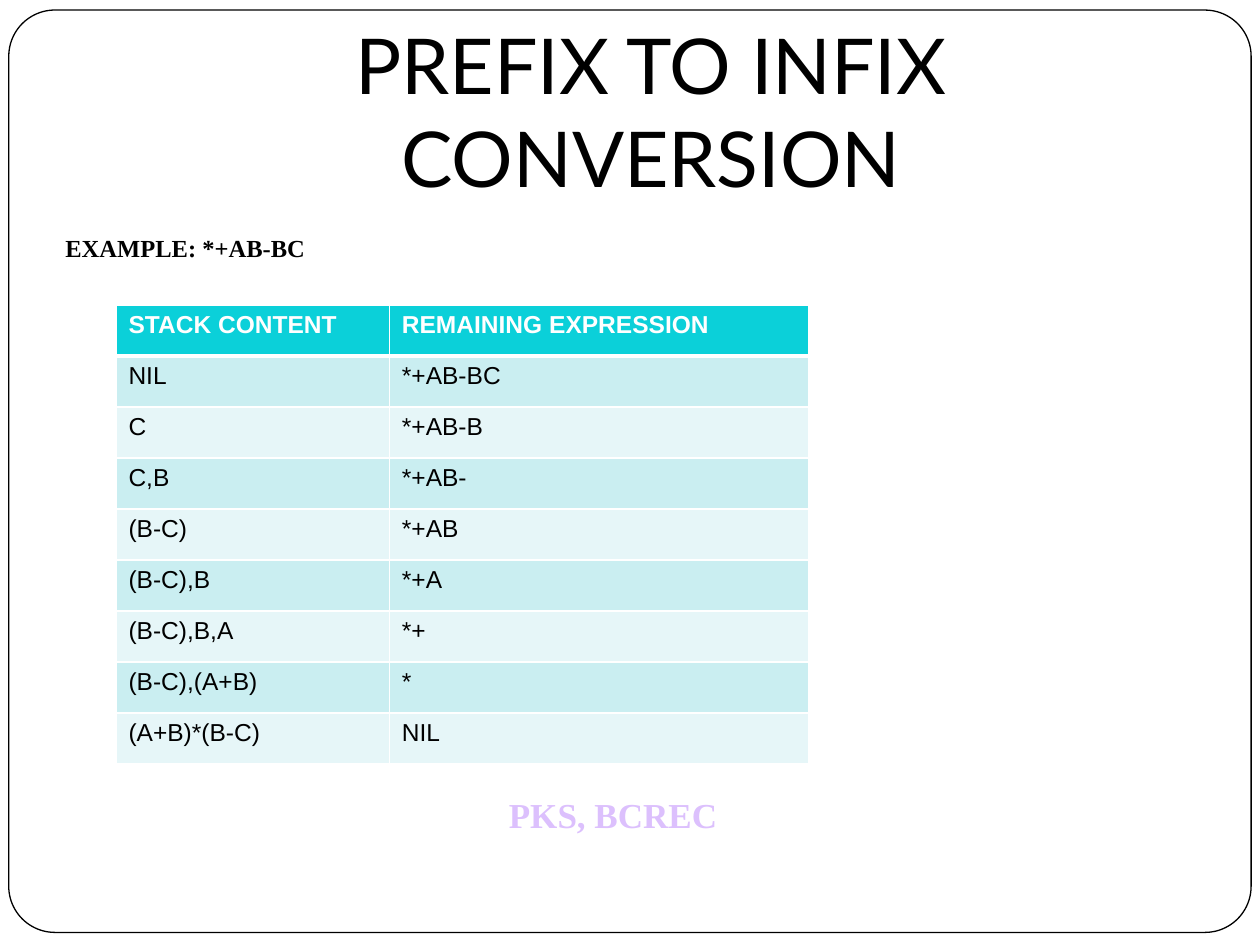
"""Build the prefix to infix conversion slide."""
import pptx
import pptx.dml.color
import pptx.enum.shapes
import pptx.enum.text
import pptx.oxml
import pptx.oxml.ns
import pptx.util
from pptx.util import Inches

COLORS = {"black": "000000", "white": "FFFFFF", "credit": "DCC0FD",
          "header": "0BD0D9", "odd": "CAEEF1", "even": "E6F6F8"}
SERIF = "Times New Roman"
TEXTS = [
    {"text": "PKS, BCREC", "box": (3.94, 6.25, 2.31, 0.44),
     "style": (SERIF, 20, "credit", True)},
    {"text": "EXAMPLE: *+AB-BC", "box": (0.42, 1.8, 9.58, 0.4),
     "style": (SERIF, 14, "black", True)},
    {"text": "PREFIX TO INFIX CONVERSION", "box": (0.67, 0.25, 9, 1.25),
     "style": ("Lato", 44, "black", False), "centered": True},
]
ROWS = [
    ("STACK CONTENT", "REMAINING EXPRESSION"),
    ("NIL", "*+AB-BC"),
    ("C", "*+AB-B"),
    ("C,B", "*+AB-"),
    ("(B-C)", "*+AB"),
    ("(B-C),B", "*+A"),
    ("(B-C),B,A", "*+"),
    ("(B-C),(A+B)", "*"),
    ("(A+B)*(B-C)", "NIL"),
]
COLUMN_WIDTHS = (2.17, 3.33)
ROW_HEIGHT = 0.405


def color(name):
    return pptx.dml.color.RGBColor.from_string(COLORS[name])


def format_text(text_frame, font_name, size, color_name, bold):
    for paragraph in text_frame.paragraphs:
        for run in paragraph.runs:
            run.font.name = font_name
            run.font.size = pptx.util.Pt(size)
            run.font.bold = bold
            run.font.color.rgb = color(color_name)


def add_text(slide, text, box, style, centered=False):
    text_frame = slide.shapes.add_textbox(*map(Inches, box)).text_frame
    text_frame.word_wrap = True
    text_frame.text = text
    if centered:
        text_frame.vertical_anchor = pptx.enum.text.MSO_ANCHOR.MIDDLE
        text_frame.paragraphs[0].alignment = pptx.enum.text.PP_ALIGN.CENTER
    format_text(text_frame, *style)


def set_borders(cell, widths):
    properties = cell._tc.get_or_add_tcPr()
    for position, (side, width) in enumerate(widths.items()):
        properties.insert(position, pptx.oxml.parse_xml(
            f'<a:{side} {pptx.oxml.ns.nsdecls("a")} w="{pptx.util.Pt(width)}">'
            f'<a:solidFill><a:srgbClr val="{COLORS["white"]}"/></a:solidFill></a:{side}>'))


def add_stack_table(slide):
    table = slide.shapes.add_table(
        len(ROWS), len(COLUMN_WIDTHS), Inches(0.92), Inches(2.42),
        Inches(sum(COLUMN_WIDTHS)), Inches(ROW_HEIGHT * len(ROWS))).table
    for column, width in zip(table.columns, COLUMN_WIDTHS):
        column.width = Inches(width)
    for row_index, values in enumerate(ROWS):
        table.rows[row_index].height = Inches(ROW_HEIGHT)
        is_header = row_index == 0
        fill = "header" if is_header else ("even", "odd")[row_index % 2]
        for column_index, value in enumerate(values):
            cell = table.cell(row_index, column_index)
            cell.text_frame.text = value
            format_text(cell.text_frame, "Arial", 14,
                        "white" if is_header else "black", is_header)
            cell.fill.solid()
            cell.fill.fore_color.rgb = color(fill)
            set_borders(cell, {"lnL": 1, "lnR": 1,
                               "lnT": 3 if row_index == 1 else 1,
                               "lnB": 3 if is_header else 1})


presentation = pptx.Presentation()
presentation.slide_width, presentation.slide_height = Inches(10), Inches(7.5)
slide = presentation.slides.add_slide(presentation.slide_layouts[6])

frame = slide.shapes.add_shape(
    pptx.enum.shapes.MSO_SHAPE.ROUNDED_RECTANGLE,
    *map(Inches, (0.07, 0.08, 9.86, 7.32)))
frame.adjustments[0] = 0.05
frame.shadow.inherit = False
frame.fill.solid()
frame.fill.fore_color.rgb = color("white")
frame.line.color.rgb = color("black")
frame.line.width = pptx.util.Pt(0.75)

for item in TEXTS:
    add_text(slide, **item)
add_stack_table(slide)
presentation.save("out.pptx")
